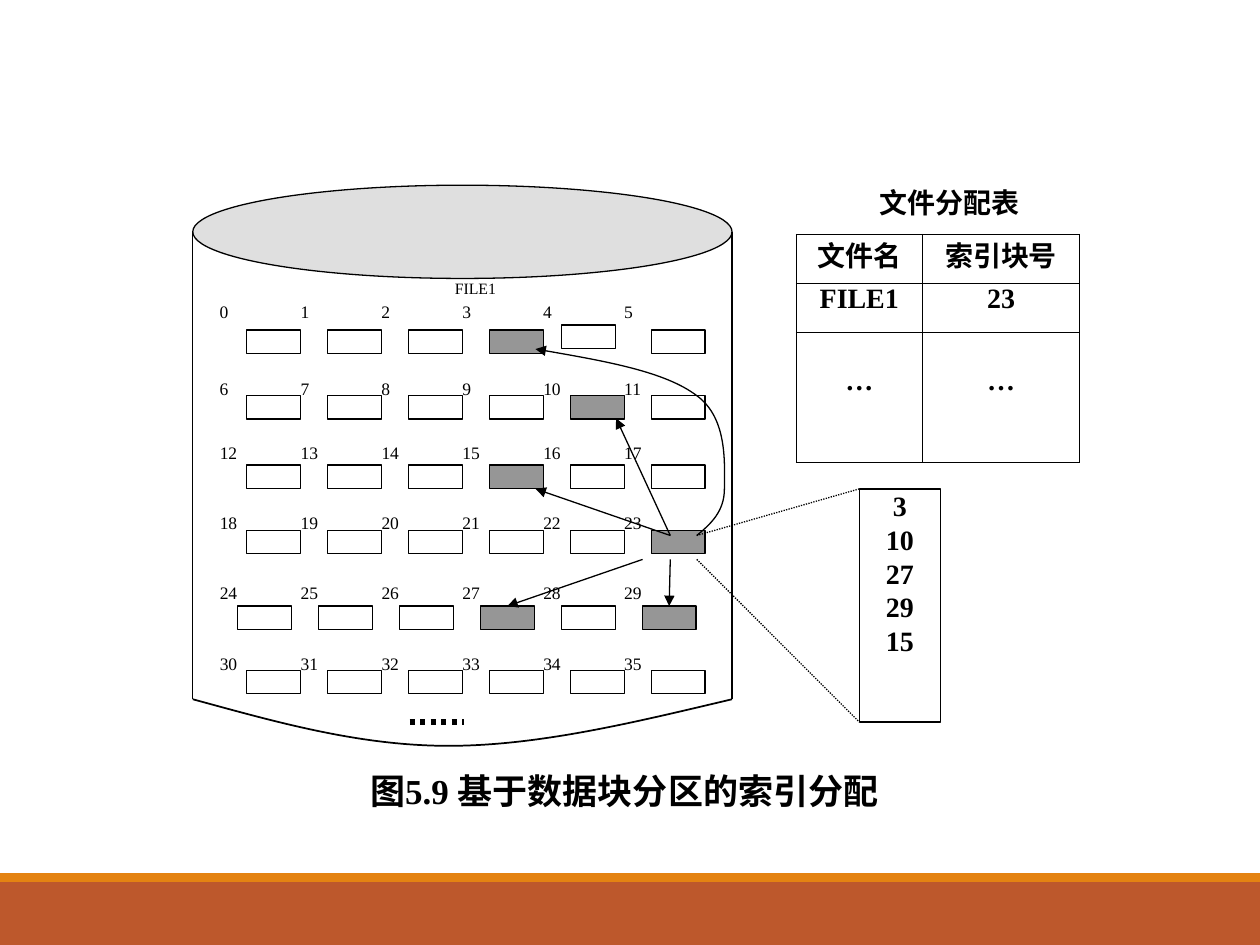
import pptx
import pptx.dml.color
import pptx.enum.dml
import pptx.enum.shapes
import pptx.enum.text
import pptx.oxml.ns
import pptx.util
from dataclasses import dataclass
from lxml import etree


@dataclass(frozen=True)
class Theme:
    font: str = "Times New Roman"
    ink: str = "000000"
    used: str = "969696"
    lid: str = "C0C0C0"
    band: str = "BD582C"
    stripe: str = "E48312"
    caption: int = 20
    body: int = 16
    label: int = 10
    small: int = 9
    thin: float = 0.75


T = Theme()
In = pptx.util.Inches
qn = pptx.oxml.ns.qn
rgb = pptx.dml.color.RGBColor.from_string
SHAPE = pptx.enum.shapes.MSO_SHAPE
STRAIGHT = pptx.enum.shapes.MSO_CONNECTOR.STRAIGHT
ALIGN = pptx.enum.text.PP_ALIGN
DOTS = pptx.enum.dml.MSO_LINE.ROUND_DOT


def write(tf, text, size=T.body, bold=True, align=ALIGN.CENTER, margins=(0, 0)):
    """Fill a text frame, one paragraph for each line of text."""
    tf.word_wrap = True
    tf.vertical_anchor = pptx.enum.text.MSO_ANCHOR.TOP
    tf.margin_left = tf.margin_right = In(margins[0])
    tf.margin_top = tf.margin_bottom = In(margins[1])
    for i, line in enumerate(text.split("\n")):
        p = tf.paragraphs[0] if i == 0 else tf.add_paragraph()
        p.alignment = align
        r = p.add_run()
        r.text = line
        r.font.name, r.font.size, r.font.bold = T.font, pptx.util.Pt(size), bold
        r.font.color.rgb = rgb(T.ink)


def style(sp, fill=None, width=T.thin, dash=None, arrow=False):
    """Set fill, outline and arrowhead, and remove the shadow."""
    if fill:
        sp.fill.solid()
        sp.fill.fore_color.rgb = rgb(fill)
    elif hasattr(sp, "fill"):
        sp.fill.background()
    if width:
        sp.line.color.rgb = rgb(T.ink)
        sp.line.width = pptx.util.Pt(width)
    else:
        sp.line.fill.background()
    if dash:
        sp.line.dash_style = dash
    sp_pr = sp._element.spPr
    if arrow:
        etree.SubElement(sp_pr.find(qn("a:ln")), qn("a:tailEnd"), type="triangle")
    etree.SubElement(sp_pr, qn("a:effectLst"))


prs = pptx.Presentation()
prs.slide_width, prs.slide_height = In(10), In(7.5)
s = prs.slides.add_slide(prs.slide_layouts[6])
shapes = s.shapes

# Footer bands
for top, height, color in ((7, 0.5, T.band), (6.93, 0.07, T.stripe)):
    sp = shapes.add_shape(SHAPE.RECTANGLE, 0, In(top), prs.slide_width, In(height))
    style(sp, color, width=None)

# Disk grid: 20 columns across the disk, the lid is 4 rows high
LEFT, TOP, WIDTH, LID = 1.53, 1.47, 4.28, 0.74
COL, ROW = WIDTH / 20, LID / 4
RIGHT, RIM, BASE = LEFT + WIDTH, TOP + 2 * ROW, 5.55

# Disk lid and walls
sp = shapes.add_shape(SHAPE.OVAL, In(LEFT), In(TOP), In(WIDTH), In(LID))
style(sp, T.lid)
etree.SubElement(sp._element.spPr.find(".//" + qn("a:srgbClr")), qn("a:alpha"), val="50000")
for x in (LEFT, RIGHT):
    style(shapes.add_connector(STRAIGHT, In(x), In(RIM), In(x), In(BASE)))

# Numbered blocks: label top, block top and shift in columns for each row of six
block_rows = [(2.39, 2.62, 0), (3, 3.14, 0), (3.51, 3.69, 0),
              (4.06, 4.21, 0), (4.62, 4.81, -1 / 3), (5.18, 5.32, 0)]
used = {3, 10, 15, 23, 27, 29}
nudges = {4: (-COL / 3, -0.04)}
blocks = {}
for row, (label_top, block_top, shift) in enumerate(block_rows):
    for col in range(6):
        n = row * 6 + col
        x = LEFT + (1 + 3 * col) * COL
        dx, dy = nudges.get(n, (0, 0))
        sp = shapes.add_shape(SHAPE.RECTANGLE, In(x + (1 + shift) * COL + dx),
                              In(block_top + dy), In(2 * COL), In(ROW))
        style(sp, T.used if n in used else None)
        blocks[n] = sp
        tb = shapes.add_textbox(In(x), In(label_top), In(COL * len(str(n))), In(2 * ROW))
        write(tb.text_frame, str(n), size=T.label, bold=False, align=ALIGN.JUSTIFY)

# File name on the disk
tb = shapes.add_textbox(In(3.61), In(TOP + LID), In(4 * COL), In(2 * ROW))
write(tb.text_frame, "FILE1", size=T.small, bold=False, align=ALIGN.JUSTIFY)

# Index block contents
sp = shapes.add_shape(SHAPE.RECTANGLE, In(6.82), In(3.88), In(3 * COL), In(10 * ROW))
style(sp)
write(sp.text_frame, "3\n10\n27\n29\n15")

# Pointers to data blocks, projection of the index block, and the ellipsis
solid, dotted = dict(arrow=True), dict(dash=DOTS)
for x1, y1, x2, y2, look, target in (
        (5.1, 4.44, 4.03, 4.81, solid, 27),
        (5.32, 4.44, 5.32, 4.81, solid, 29),
        (5.32, 4.25, 4.25, 3.88, solid, None),
        (5.32, 4.25, 4.89, 3.32, solid, None),
        (5.53, 4.25, 6.82, 3.88, dotted, None),
        (5.53, 4.44, 6.82, 5.73, dotted, None),
        (3.25, 5.73, 3.68, 5.73, dict(dash=DOTS, width=3), None)):
    c = shapes.add_connector(STRAIGHT, In(x1), In(y1), In(x2), In(y2))
    if target:
        c.end_connect(blocks[target], 0)
    style(c, **look)

# Curves: disk bottom and pointer to block 3, three points for each Bezier segment
bottom = [(LEFT, BASE), (2.19, 5.73), (2.85, 5.92), (3.56, 5.92),
          (4.28, 5.92), (5.05, 5.73), (RIGHT, BASE)]
pointer = [(5.53, 4.25), (5.64, 4.16), (5.75, 4.06), (5.75, 3.88), (5.75, 3.69),
           (5.78, 3.32), (5.53, 3.14), (5.28, 2.95), (4.77, 2.86), (4.25, 2.77)]
for points, look in ((bottom, dict(width=1)), (pointer, solid)):
    start, *rest = [(In(x), In(y)) for x, y in points]
    fb = shapes.build_freeform(*start)
    fb.add_line_segments(rest, close=False)
    sp = fb.convert_to_shape()
    outline = sp._element.spPr.find(".//" + qn("a:path"))
    segments = outline.findall(qn("a:lnTo"))
    for i in range(0, len(segments), 3):
        curve = etree.SubElement(outline, qn("a:cubicBezTo"))
        for segment in segments[i:i + 3]:
            curve.append(segment[0])
            outline.remove(segment)
    style(sp, **look)

# File allocation table
tb = shapes.add_textbox(In(6.32), In(TOP), In(2.43), In(0.39))
write(tb.text_frame, "文件分配表")
cells = [("文件名", "索引块号"), ("FILE1", "23"), ("…", "…")]
frame = shapes.add_table(3, 2, In(6.32), In(1.86), In(2.25), In(1.81))
table = frame.table
table.first_row = table.horz_banding = False
for column, width in zip(table.columns, (1, 1.25)):
    column.width = In(width)
for r, (values, height) in enumerate(zip(cells, (0.39, 0.39, 1.03))):
    table.rows[r].height = In(height)
    for c, value in enumerate(values):
        cell = table.cell(r, c)
        write(cell.text_frame, value)
        cell.margin_left = cell.margin_right = cell.margin_bottom = 0
        cell.margin_top = In(0.26 if value == "…" else 0)
        tc_pr = cell._tc.get_or_add_tcPr()
        for side in "LRTB":
            ln = etree.SubElement(tc_pr, qn("a:ln" + side), w=str(pptx.util.Pt(T.thin)))
            etree.SubElement(etree.SubElement(ln, qn("a:solidFill")), qn("a:srgbClr"), val=T.ink)
        cell.fill.background()

# Caption
tb = shapes.add_textbox(In(1.53), In(6.06), In(6.85), In(0.6))
write(tb.text_frame, "图5.9 基于数据块分区的索引分配", size=T.caption, margins=(0.1, 0.05))

prs.save("out.pptx")
